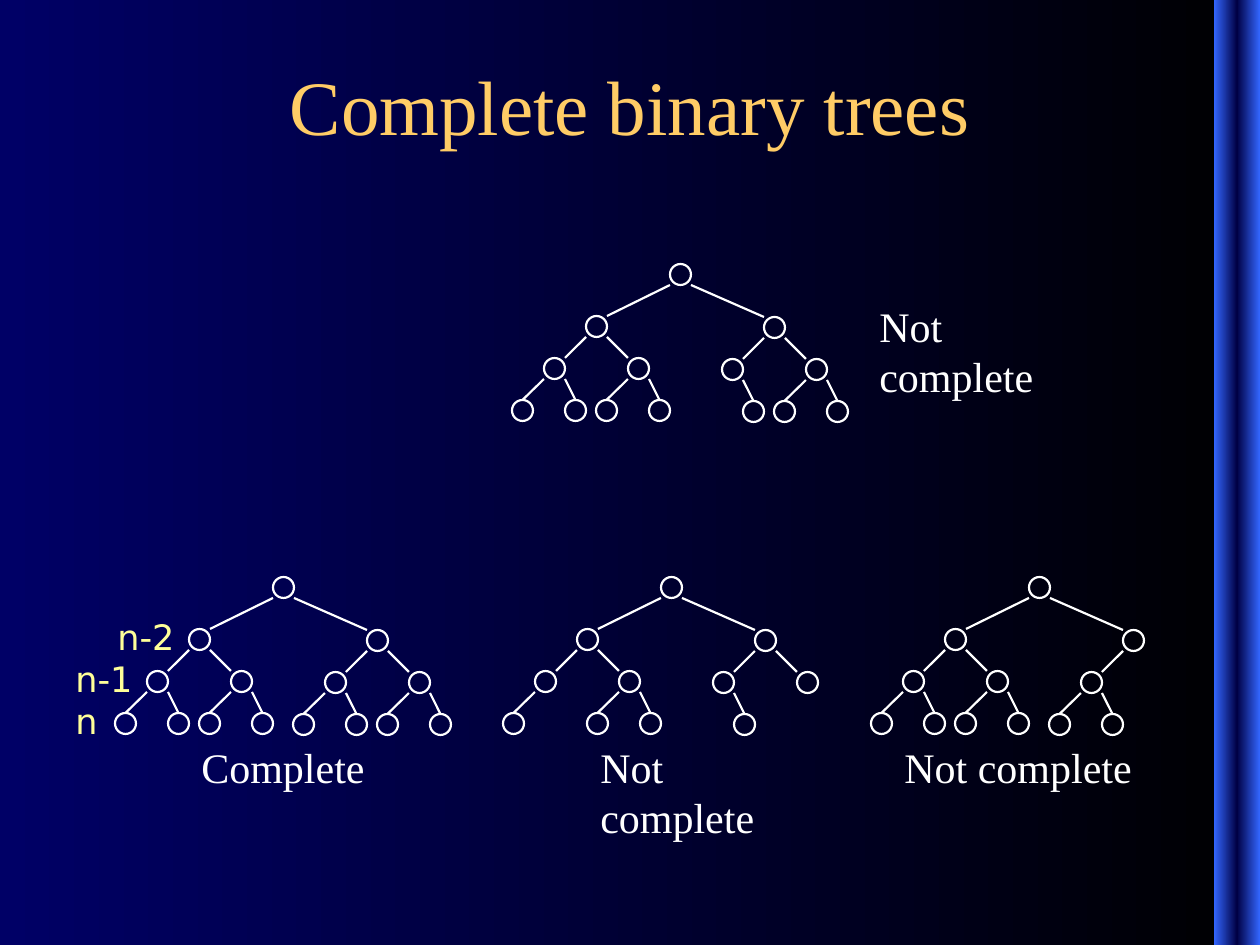
from copy import deepcopy

from pptx import Presentation
from pptx import util as u
from pptx.dml.color import RGBColor
from pptx.enum import shapes, text
from pptx.oxml.ns import qn
from lxml import etree

COLORS = {
    "black": "000000", "navy": "000066", "bar_edge": "3366FF", "bar_middle": "000044",
    "title": "FFCC66", "white": "FFFFFF", "level": "FFFF99",
}
SERIF, SANS = "Times New Roman", "DejaVu Sans"
NODE = 21  # diameter of a tree node

# Offsets of the left and right child from their parent, by depth
CHILD_OFFSETS = [
    ((-84, 52), (94, 53)),
    ((-42, 42), (42, 42)),
    ((-32, 42), (21, 42)),
]

# Root position, missing nodes (heap numbering), caption and its box
TREES = [
    ((273, 577), set(), "Complete", (189, 735, 189, 63)),
    ((661, 577), {9, 12, 14, 15}, "Not complete", (588, 735, 199, 113)),
    ((1029, 577), {7, 14, 15}, "Not complete", (892, 735, 262, 63)),
    ((670, 264), {12}, "Not complete", (867, 294, 199, 113)),
]
LEVELS = [("n-2", 105, 609), ("n-1", 63, 651), ("n", 63, 693)]


def px(value):
    return u.Emu(round(value * 914400 / 126))


def color(name):
    return RGBColor.from_string(COLORS[name])


def set_gradient(fill, first, last):
    fill.gradient()
    fill.gradient_angle = 180
    for stop, name in zip(fill.gradient_stops, (first, last)):
        stop.color.rgb = color(name)


def add_side_bar(page):
    bar = page.shapes.add_shape(
        shapes.MSO_SHAPE.RECTANGLE, px(1214), 0, px(46), px(945))
    bar.shadow.inherit = False
    bar.line.fill.background()
    set_gradient(bar.fill, "bar_edge", "bar_middle")
    # Mirror the gradient: the dark stop moves to the middle
    stops = bar.element.find(".//" + qn("a:gsLst"))
    stops.append(deepcopy(stops[0]))
    stops[1].set("pos", "50000")
    stops[2].set("pos", "100000")


def add_text(parent, words, area, size, font, name, align=text.PP_ALIGN.LEFT,
             anchor=text.MSO_ANCHOR.TOP):
    box = parent.shapes.add_textbox(*map(px, area))
    frame = box.text_frame
    frame.word_wrap = True
    frame.vertical_anchor = anchor
    frame.text = words
    para = frame.paragraphs[0]
    para.alignment = align
    span = para.runs[0]
    span.font.size = u.Pt(size)
    span.font.name = font
    span.font.color.rgb = color(name)


def add_node(group, x, y):
    node = group.shapes.add_shape(
        shapes.MSO_SHAPE.OVAL, px(x), px(y), px(NODE), px(NODE))
    node.shadow.inherit = False
    node.fill.background()
    node.line.color.rgb = color("white")
    node.line.width = u.Pt(1.25)


def add_edge(group, start, end):
    edge = group.shapes.add_connector(
        shapes.MSO_CONNECTOR.STRAIGHT, *map(px, start + end))
    edge.line.color.rgb = color("white")
    edge.line.width = u.Pt(1.25)
    etree.SubElement(edge.element.spPr, qn("a:effectLst"))


def add_subtree(group, x, y, missing, index=1, depth=0):
    """Draw a node, then its children and the edges down to them."""
    add_node(group, x, y)
    if depth == len(CHILD_OFFSETS):
        return
    for side, (dx, dy) in enumerate(CHILD_OFFSETS[depth]):
        child = 2 * index + side
        if child in missing:
            continue
        # Edges meet leaves at top centre, other nodes at the facing corner
        is_leaf = depth + 1 == len(CHILD_OFFSETS)
        reach = NODE / 2 if is_leaf else NODE * (1 - side)
        add_edge(group, (x + side * NODE, y + NODE), (x + dx + reach, y + dy))
        add_subtree(group, x + dx, y + dy, missing, child, depth + 1)


def main():
    deck = Presentation()
    deck.slide_width, deck.slide_height = px(1260), px(945)
    page = deck.slides.add_slide(deck.slide_layouts[6])

    # Background, side bar and title
    set_gradient(page.background.fill, "black", "navy")
    add_side_bar(page)
    add_text(page, "Complete binary trees", (42, 52, 1176, 106), 44, SERIF, "title",
             text.PP_ALIGN.CENTER, text.MSO_ANCHOR.MIDDLE)

    # Trees with their captions
    for root, missing, caption, area in TREES:
        group = page.shapes.add_group_shape()
        add_text(group, caption, area, 24, SERIF, "white")
        add_subtree(group, *root, missing)

    # Level labels beside the complete tree
    for label, x, y in LEVELS:
        add_text(page, label, (x, y, 95, 55), 20, SANS, "level")

    deck.save("out.pptx")


if __name__ == "__main__":
    main()
